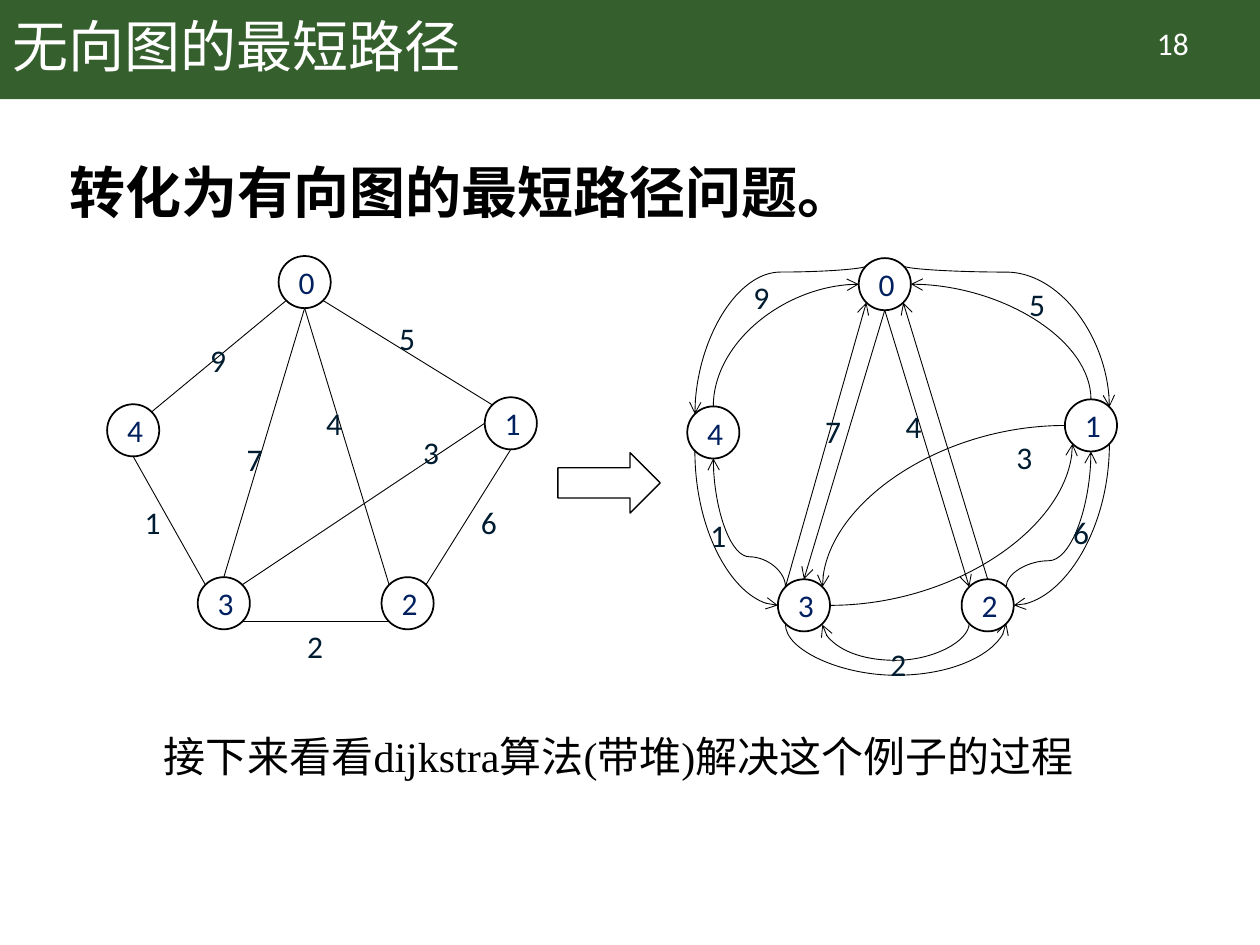
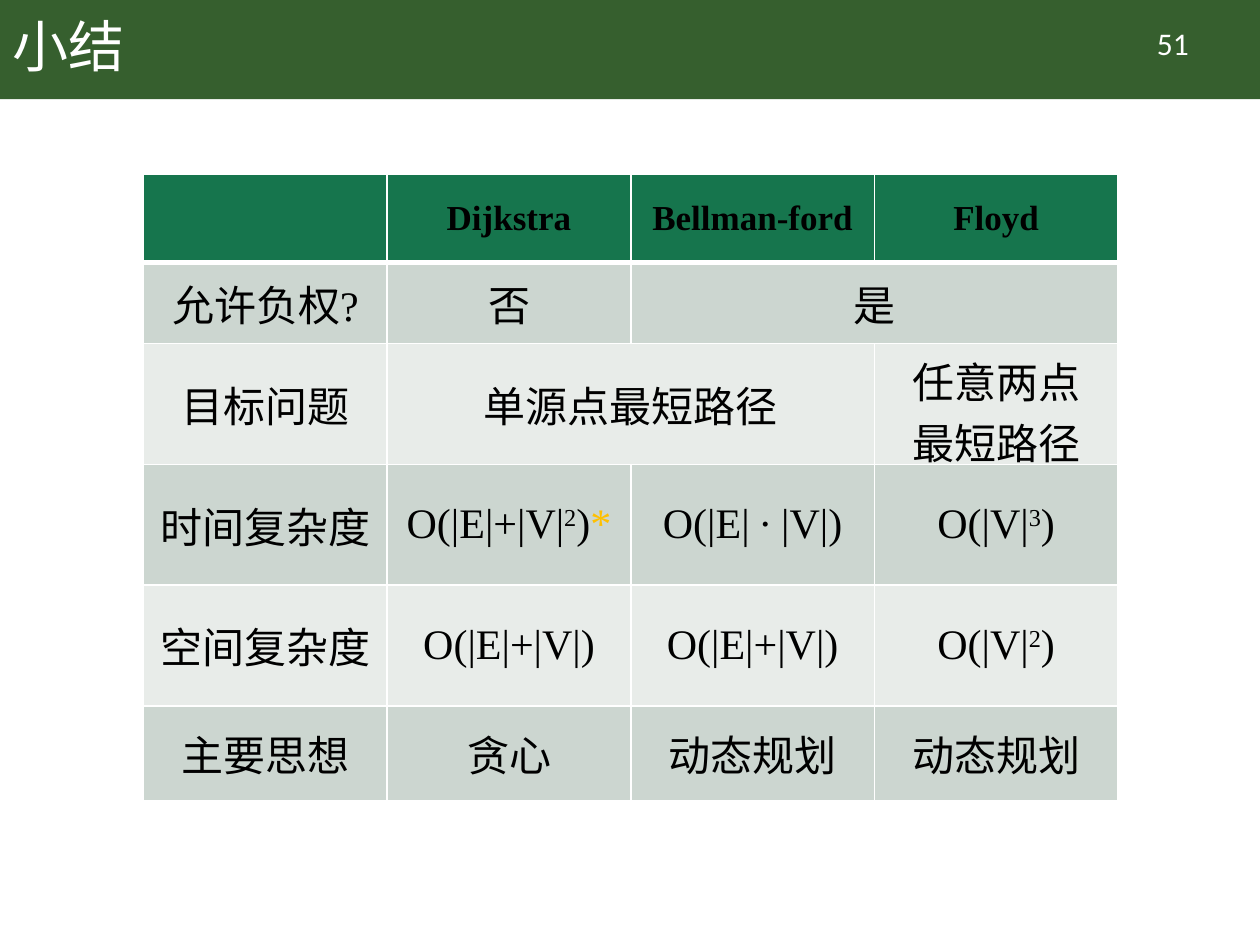
"""Two slides on shortest paths: an undirected graph made directed, and a summary table."""
import pptx
import pptx.dml.color
import pptx.enum.shapes
import pptx.enum.text
import pptx.oxml.ns
import pptx.oxml.xmlchemy
import pptx.util
from lxml import etree

Pt = pptx.util.Pt
qn = pptx.oxml.ns.qn
SHAPE = pptx.enum.shapes.MSO_SHAPE
CONNECTOR = pptx.enum.shapes.MSO_CONNECTOR
CENTER = pptx.enum.text.PP_ALIGN.CENTER
MIDDLE = pptx.enum.text.MSO_ANCHOR.MIDDLE

COLORS = {"band": "365F2E", "white": "FFFFFF", "black": "000000", "node": "002060",
          "weight": "001C30", "header": "16754D", "odd": "CCD6D0", "even": "E8ECE9",
          "star": "FFC000"}
SANS, SERIF, LATIN = "Noto Sans CJK SC", "Times New Roman", "Calibri"

HEADLINE = "转化为有向图的最短路径问题。"
CLOSING = "接下来看看dijkstra算法(带堆)解决这个例子的过程"

NODE_SIZE = 29.8
NODES = {0: (159.2, 146.3), 4: (61.2, 231), 3: (113, 329.8), 2: (218, 329.8), 1: (277, 227)}
DIRECTED_OFFSET = (331.5, 1.2)
DIAGONAL = 0.5 ** 0.5
SITES = {"n": (0, -1), "s": (0, 1), "w": (-1, 0), "e": (1, 0),
         "nw": (-DIAGONAL, -DIAGONAL), "ne": (DIAGONAL, -DIAGONAL),
         "sw": (-DIAGONAL, DIAGONAL), "se": (DIAGONAL, DIAGONAL)}

UNDIRECTED_EDGES = [
    (0, "sw", 4, "ne"), (3, "nw", 4, "s"), (1, "nw", 0, "se"), (2, "sw", 3, "se"),
    (1, "s", 2, "ne"), (2, "nw", 0, "s"), (3, "n", 0, "s"), (1, "w", 3, "ne")]
DIRECTED_EDGES = [
    (2, "nw", 0, "s", "headEnd"), (3, "n", 0, "s", "headEnd"),
    (3, "nw", 0, "sw", "tailEnd"), (2, "n", 0, "se", "tailEnd")]
CURVED_EDGES = [
    (0, "nw", 4, "nw", "tailEnd", 155.5), (3, "w", 4, "sw", "headEnd", None),
    (1, "ne", 0, "ne", "headEnd", 155.5), (2, "se", 3, "sw", "headEnd", 386.6),
    (1, "se", 2, "e", "tailEnd", None), (1, "w", 3, "ne", "tailEnd", None),
    (2, "sw", 3, "se", "tailEnd", 378), (1, "sw", 3, "e", "headEnd", None),
    (3, "nw", 4, "s", "tailEnd", 318.2), (1, "s", 2, "ne", "headEnd", 320.4),
    (0, "w", 4, "n", "headEnd", None), (1, "n", 0, "e", "tailEnd", None)]

UNDIRECTED_WEIGHTS = [("9", 113, 191.5), ("5", 221, 178.6), ("4", 179.3, 227.5),
                      ("7", 133.9, 247.7), ("1", 75.6, 283.7), ("2", 168.5, 355),
                      ("3", 234.7, 244.1), ("6", 267.8, 283.7)]
DIRECTED_WEIGHTS = [("9", 423.4, 155.5), ("5", 581, 159.1), ("4", 510.5, 229),
                    ("7", 464.4, 231.8), ("1", 398.9, 291.6), ("2", 501.8, 365),
                    ("3", 573.8, 247), ("6", 606.2, 289.4)]

TABLE_ROWS = [
    ["", "Dijkstra", "Bellman-ford", "Floyd"],
    ["允许负权?", "否", "是", ""],
    ["目标问题", "单源点最短路径", "", "任意两点\n最短路径"],
    ["时间复杂度", ("O(|E|+|V|", "2", ")", "*"), "O(|E| ∙ |V|)", ("O(|V|", "3", ")")],
    ["空间复杂度", "O(|E|+|V|)", "O(|E|+|V|)", ("O(|V|", "2", ")")],
    ["主要思想", "贪心", "动态规划", "动态规划"]]
ROW_HEIGHTS = [50.4, 46.4, 69, 69, 69, 54.5]
COLUMN_WIDTH = 139.2
MERGES = [((1, 2), (1, 3)), ((2, 1), (2, 2))]


def rgb(name):
    return pptx.dml.color.RGBColor.from_string(COLORS[name])


def set_font(paragraph, size, font_name, color, bold=False):
    font = paragraph.font
    font.size, font.name, font.bold = Pt(size), font_name, bold
    font.color.rgb = rgb(color)


def add_text(slide, box, text, size, font_name, color, bold=False, wrap=True,
             align=None, anchor=None, spacing=None):
    frame = slide.shapes.add_textbox(*map(Pt, box)).text_frame
    frame.word_wrap = wrap
    frame.vertical_anchor = anchor
    paragraph = frame.paragraphs[0]
    paragraph.text = text
    paragraph.alignment = align
    paragraph.line_spacing = spacing
    set_font(paragraph, size, font_name, color, bold)


def add_preset(slide, preset, box, fill=None, line_width=None):
    shape = slide.shapes.add_shape(preset, *map(Pt, box))
    shape.shadow.inherit = False
    if fill:
        shape.fill.solid()
        shape.fill.fore_color.rgb = rgb(fill)
    else:
        shape.fill.background()
    if line_width:
        shape.line.color.rgb = rgb("black")
        shape.line.width = Pt(line_width)
    else:
        shape.line.fill.background()
    return shape


def add_titled_slide(presentation, title, title_font, number):
    slide = presentation.slides.add_slide(presentation.slide_layouts[6])
    add_preset(slide, SHAPE.RECTANGLE, (0, 0, 720, 56.7), "band")
    add_text(slide, (0, 0, 620.6, 56.7), title, 32, title_font, "white",
             anchor=MIDDLE, spacing=0.9)
    add_text(slide, (627, 10.1, 86.4, 28.8), number, 18, LATIN, "white", align=CENTER)
    return slide


def site_point(node, site, offset):
    return [start + shift + NODE_SIZE / 2 * (1 + direction)
            for start, shift, direction in zip(NODES[node], offset, SITES[site])]


def style_connector(connector, arrow):
    connector.line.color.rgb = rgb("black")
    connector.line.width = Pt(0.5)
    if arrow:
        line = connector.line._get_or_add_ln()
        etree.SubElement(line, qn("a:" + arrow), type="arrow")
    etree.SubElement(connector._element.spPr, qn("a:effectLst"))


def add_edge(slide, offset, start, start_site, end, end_site, arrow=None):
    points = site_point(start, start_site, offset) + site_point(end, end_site, offset)
    connector = slide.shapes.add_connector(CONNECTOR.STRAIGHT, *map(Pt, points))
    style_connector(connector, arrow)


def add_curve(slide, offset, start, start_site, end, end_site, arrow, level):
    x1, y1 = site_point(start, start_site, offset)
    x2, y2 = site_point(end, end_site, offset)
    across, down = x2 - x1, (y2 - y1) or 1
    if start_site in ("e", "w"):
        width, height = abs(across), abs(down)
        rotation = 0 if across > 0 else 180
        flipped = (down < 0) == (across > 0)
    else:
        width, height = abs(down), abs(across)
        rotation = 90 if down > 0 else 270
        flipped = (across > 0) == (down > 0)
    left, top = (x1 + x2 - width) / 2, (y1 + y2 - height) / 2
    connector = slide.shapes.add_connector(
        CONNECTOR.CURVE, Pt(left), Pt(top), Pt(left + width), Pt(top + height))
    properties = connector._element.spPr
    frame = properties.find(qn("a:xfrm"))
    frame.set("rot", str(rotation * 60000))
    if flipped:
        frame.set("flipV", "1")
    geometry = properties.find(qn("a:prstGeom"))
    if level is None:
        geometry.set("prst", "curvedConnector2")
    else:
        adjustment = round((level - y1) / down * 100000)
        etree.SubElement(geometry.find(qn("a:avLst")), qn("a:gd"),
                         name="adj1", fmla=f"val {adjustment}")
    style_connector(connector, arrow)


def add_graph(slide, offset, edges, curves, weights):
    for label, (left, top) in NODES.items():
        node = add_preset(slide, SHAPE.OVAL,
                          (left + offset[0], top + offset[1], NODE_SIZE, NODE_SIZE),
                          line_width=1)
        node.text_frame.vertical_anchor = MIDDLE
        paragraph = node.text_frame.paragraphs[0]
        paragraph.text = str(label)
        paragraph.alignment = CENTER
        set_font(paragraph, 18, LATIN, "node")
    for edge in edges:
        add_edge(slide, offset, *edge)
    for curve in curves:
        add_curve(slide, offset, *curve)
    for weight, left, top in weights:
        add_text(slide, (left, top, 24.5, 28.8), weight, 18, LATIN, "weight", wrap=False)


def set_borders(cell, row):
    properties = cell._tc.get_or_add_tcPr()
    widths = {"lnL": 1, "lnR": 1, "lnT": 3 if row == 1 else 1, "lnB": 3 if row == 0 else 1}
    for side, width in widths.items():
        border = etree.SubElement(properties, qn("a:" + side), w=str(Pt(width)))
        fill = etree.SubElement(border, qn("a:solidFill"))
        etree.SubElement(fill, qn("a:srgbClr"), val=COLORS["white"])


def fill_cell(cell, row, content):
    set_borders(cell, row)
    cell.fill.solid()
    cell.fill.fore_color.rgb = rgb("header" if row == 0 else "odd" if row % 2 else "even")
    cell.vertical_anchor = MIDDLE
    paragraph = cell.text_frame.paragraphs[0]
    paragraph.alignment = CENTER
    set_font(paragraph, 20 if row == 0 else 24, SERIF, "black", row == 0)
    if isinstance(content, str):
        paragraph.text = content
        return
    for part in content:
        run = paragraph.add_run()
        run.text = part
        if part.isdigit():
            run.font._element.set("baseline", "30000")
        elif part == "*":
            run.font.color.rgb = rgb("star")


def build_graph_slide(presentation):
    slide = add_titled_slide(presentation, "无向图的最短路径", SANS, "18")
    add_graph(slide, (0, 0), UNDIRECTED_EDGES, [], UNDIRECTED_WEIGHTS)
    add_preset(slide, SHAPE.RIGHT_ARROW, (318.8, 258.7, 58.5, 34.5), "white", 0.75)
    add_graph(slide, DIRECTED_OFFSET, DIRECTED_EDGES, CURVED_EDGES, DIRECTED_WEIGHTS)
    add_text(slide, (86.4, 414, 540, 36), CLOSING, 24, SERIF, "black")
    add_text(slide, (32.4, 90.7, 669.6, 51), HEADLINE, 32, SANS, "black", bold=True,
             spacing=0.9)


def build_summary_slide(presentation):
    slide = add_titled_slide(presentation, "小结", SERIF, "51")
    columns = len(TABLE_ROWS[0])
    table = slide.shapes.add_table(
        len(TABLE_ROWS), columns, Pt(82.1), Pt(99.6),
        Pt(COLUMN_WIDTH * columns), Pt(sum(ROW_HEIGHTS))).table
    for column in table.columns:
        column.width = Pt(COLUMN_WIDTH)
    for row, (height, contents) in enumerate(zip(ROW_HEIGHTS, TABLE_ROWS)):
        table.rows[row].height = Pt(height)
        for column, content in enumerate(contents):
            fill_cell(table.cell(row, column), row, content)
    for first, last in MERGES:
        table.cell(*first).merge(table.cell(*last))


def main():
    presentation = pptx.Presentation()
    presentation.slide_width, presentation.slide_height = Pt(720), Pt(540)
    build_graph_slide(presentation)
    build_summary_slide(presentation)
    presentation.save("out.pptx")


if __name__ == "__main__":
    main()
